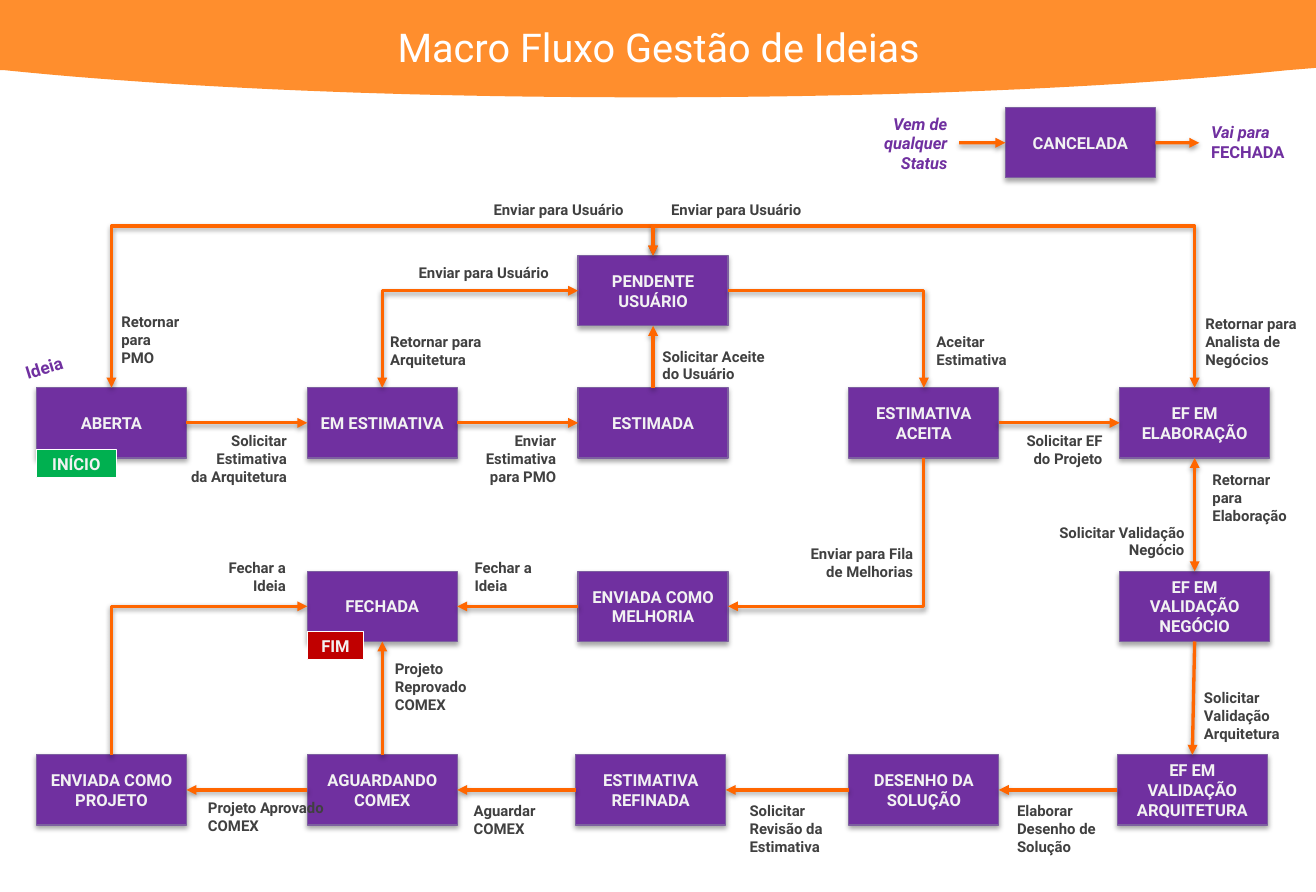
from lxml import etree
from pptx import Presentation
from pptx.dml.color import RGBColor
from pptx.enum import shapes, text
from pptx.oxml.ns import qn
from pptx.util import Cm, Pt

FONT = "Roboto"
PURPLE, ORANGE, BANNER = "7030A0", "FF6600", "FF8E2D"
GREY, PALE, WHITE = "404040", "F2F2F2", "FFFFFF"
LEFT, CENTER, RIGHT = text.PP_ALIGN.LEFT, text.PP_ALIGN.CENTER, text.PP_ALIGN.RIGHT
TOP_SIDE, LEFT_SIDE, BOTTOM_SIDE, RIGHT_SIDE = range(4)
SLIDE_W, SLIDE_H = 28.09, 19.05
STATUS_W, STATUS_H = 3.2, 1.5
COLUMN_PITCH, ROW_PITCH = 5.78, 3.92
PENDING_Y, FIRST_ROW_Y, RAIL_Y = 1.29, 4.11, 0.66

# status: (column, row, shift to the right)
STATUSES = {
    "ABERTA": (0, 0, 0), "EM ESTIMATIVA": (1, 0, 0), "ESTIMADA": (2, 0, 0),
    "ESTIMATIVA ACEITA": (3, 0, 0), "EF EM ELABORAÇÃO": (4, 0, 0),
    "FECHADA": (1, 1, 0), "ENVIADA COMO MELHORIA": (2, 1, 0),
    "EF EM VALIDAÇÃO NEGÓCIO": (4, 1, 0),
    "ENVIADA COMO PROJETO": (0, 2, 0), "AGUARDANDO COMEX": (1, 2, 0),
    "ESTIMATIVA REFINADA": (2, 2, -0.05), "DESENHO DA SOLUÇÃO": (3, 2, 0),
    "EF EM VALIDAÇÃO ARQUITETURA": (4, 2, -0.05),
}
# from, side, to, side, arrowheads
STRAIGHT = [
    ("ABERTA", RIGHT_SIDE, "EM ESTIMATIVA", LEFT_SIDE, "end"),
    ("EM ESTIMATIVA", RIGHT_SIDE, "ESTIMADA", LEFT_SIDE, "end"),
    ("ESTIMADA", TOP_SIDE, "PENDENTE USUÁRIO", BOTTOM_SIDE, "end"),
    ("ESTIMATIVA ACEITA", RIGHT_SIDE, "EF EM ELABORAÇÃO", LEFT_SIDE, "end"),
    ("EF EM VALIDAÇÃO NEGÓCIO", TOP_SIDE, "EF EM ELABORAÇÃO", BOTTOM_SIDE, "both"),
    ("EF EM VALIDAÇÃO NEGÓCIO", BOTTOM_SIDE, "EF EM VALIDAÇÃO ARQUITETURA", TOP_SIDE, "end"),
    ("EF EM VALIDAÇÃO ARQUITETURA", LEFT_SIDE, "DESENHO DA SOLUÇÃO", RIGHT_SIDE, "end"),
    ("DESENHO DA SOLUÇÃO", LEFT_SIDE, "ESTIMATIVA REFINADA", RIGHT_SIDE, "end"),
    ("ESTIMATIVA REFINADA", LEFT_SIDE, "AGUARDANDO COMEX", RIGHT_SIDE, "end"),
    ("AGUARDANDO COMEX", LEFT_SIDE, "ENVIADA COMO PROJETO", RIGHT_SIDE, "end"),
    ("AGUARDANDO COMEX", TOP_SIDE, "FECHADA", BOTTOM_SIDE, "end"),
    ("ENVIADA COMO MELHORIA", LEFT_SIDE, "FECHADA", RIGHT_SIDE, "end"),
]
CORNERS = [
    ("PENDENTE USUÁRIO", LEFT_SIDE, "EM ESTIMATIVA", TOP_SIDE, "both"),
    ("PENDENTE USUÁRIO", RIGHT_SIDE, "ESTIMATIVA ACEITA", TOP_SIDE, "end"),
    ("ENVIADA COMO MELHORIA", RIGHT_SIDE, "ESTIMATIVA ACEITA", BOTTOM_SIDE, "begin"),
    ("FECHADA", LEFT_SIDE, "ENVIADA COMO PROJETO", TOP_SIDE, "begin"),
]
# left, top, width, alignment, wording
TRANSITIONS = [
    (1.56, 2.38, 1.91, LEFT, "Retornar\npara PMO"),
    (24.7, 2.43, 2.6, LEFT, "Retornar para\nAnalista de\nNegócios"),
    (24.67, 10.41, 2.41, LEFT, "Solicitar Validação Arquitetura"),
    (3.41, 12.77, 3.1, LEFT, "Projeto Aprovado COMEX"),
    (7.4, 9.8, 2.59, LEFT, "Projeto\nReprovado\nCOMEX"),
    (9.1, 7.64, 3.61, LEFT, "Fechar a\nIdeia"),
    (7.3, 2.82, 2.67, LEFT, "Retornar para\nArquitetura"),
    (13.11, 3.12, 3.07, LEFT, "Solicitar Aceite\ndo Usuário"),
    (18.96, 2.82, 2.16, LEFT, "Aceitar Estimativa"),
    (24.85, 5.76, 2.24, LEFT, "Retornar\npara\nElaboração"),
    (9.08, 12.82, 2.59, LEFT, "Aguardar\nCOMEX"),
    (20.68, 12.82, 2.41, LEFT, "Elaborar\nDesenho de Solução"),
    (14.97, 12.82, 2.41, LEFT, "Solicitar\nRevisão da Estimativa"),
    (2.85, 4.92, 2.74, RIGHT, "Solicitar\nEstimativa\nda Arquitetura"),
    (8.92, 4.92, 2.42, RIGHT, "Enviar\nEstimativa\npara PMO"),
    (20.61, 4.92, 2.39, RIGHT, "Solicitar EF do Projeto"),
    (21.27, 6.88, 3.48, RIGHT, "Solicitar Validação\nNegócio"),
    (16.24, 7.34, 2.72, RIGHT, "Enviar para Fila de Melhorias"),
    (1.96, 7.64, 3.61, RIGHT, "Fechar a\nIdeia"),
    (8.51, 0, 4.27, RIGHT, "Enviar para Usuário"),
    (12.3, 0, 4.27, RIGHT, "Enviar para Usuário"),
    (6.91, 1.34, 4.27, RIGHT, "Enviar para Usuário"),
]


def rgb(value):
    return RGBColor.from_string(value)


def write(frame, wording, size, color, align, bold=True):
    frame.word_wrap = True
    frame.text = wording
    for line in frame.paragraphs:
        line.alignment = align
        line.font.name, line.font.size, line.font.bold = FONT, Pt(size), bold
        line.font.color.rgb = rgb(color)


def label(slide, x, y, w, h, wording, size, color, align=LEFT, bold=True):
    box = slide.shapes.add_textbox(Cm(x), Cm(y), Cm(w), Cm(h))
    write(box.text_frame, wording, size, color, align, bold)
    return box


def cast_shadow(shape, distance, alpha):
    properties = shape._element.spPr
    effects = properties.find(qn("a:effectLst"))
    if effects is None:
        effects = etree.SubElement(properties, qn("a:effectLst"))
    shadow = etree.SubElement(effects, qn("a:outerShdw"), blurRad="40000",
                              dist=str(distance), dir="5400000", rotWithShape="0")
    black = etree.SubElement(shadow, qn("a:srgbClr"), val="000000")
    etree.SubElement(black, qn("a:alpha"), val=str(alpha))


def process(slide, x, y, w, h, wording, fill, outline):
    shape = slide.shapes.add_shape(shapes.MSO_SHAPE.FLOWCHART_PROCESS,
                                   Cm(x), Cm(y), Cm(w), Cm(h))
    shape.shadow.inherit = False
    shape.fill.solid()
    shape.fill.fore_color.rgb = rgb(fill)
    shape.line.color.rgb = rgb(outline)
    shape.line.width = Pt(0.75)
    shape.text_frame.vertical_anchor = text.MSO_ANCHOR.MIDDLE
    write(shape.text_frame, wording, 10, PALE, CENTER)
    return shape


def status(slide, x, y, wording):
    shape = process(slide, x, y, STATUS_W, STATUS_H, wording, PURPLE, "7D60A0")
    cast_shadow(shape, 23000, 35000)
    return shape


def arrow(slide, kind, begin=(0, 0), end=(0, 0), heads="end"):
    link = slide.shapes.add_connector(kind, *(Cm(v) for v in (*begin, *end)))
    link.line.color.rgb = rgb(ORANGE)
    link.line.width = Pt(2)
    for tag, place in (("a:headEnd", "begin"), ("a:tailEnd", "end")):
        if heads in (place, "both"):
            etree.SubElement(link.line._get_or_add_ln(), qn(tag), type="triangle")
    cast_shadow(link, 20000, 38000)
    return link


def join(slide, kind, source, source_side, target, target_side, heads):
    link = arrow(slide, kind, heads=heads)
    link.begin_connect(source, source_side)
    link.end_connect(target, target_side)
    return link


def reshape(link, preset, **guides):
    geometry = link._element.spPr.find(qn("a:prstGeom"))
    geometry.set("prst", preset)
    adjustments = geometry.find(qn("a:avLst"))
    if adjustments is None:
        adjustments = etree.SubElement(geometry, qn("a:avLst"))
    for name, value in guides.items():
        etree.SubElement(adjustments, qn("a:gd"), name=name, fmla=f"val {value}")


def rail(slide, source, target):
    """Arrow leaving one top side, running along the rail above, down to another top side."""
    link = join(slide, shapes.MSO_CONNECTOR.ELBOW, source, TOP_SIDE, target, TOP_SIDE, "both")
    from_left = source.left < target.left
    x, y, w, h = link.left, link.top, link.width, link.height
    link.left, link.top = x + (w - h) // 2, y + (h - w) // 2
    link.width, link.height = h, w
    frame = link._element.spPr.xfrm
    frame.set("rot", "5400000" if from_left else "16200000")
    frame.set("flipH", "1" if from_left else "0")
    frame.set("flipV", "1")
    reach = (FIRST_ROW_Y - RAIL_Y) / (FIRST_ROW_Y - PENDING_Y)
    reshape(link, "bentConnector3", adj1=round(reach * 100000))


def bezier(points, steps=24):
    a, b, c, d = points
    for t in (i / steps for i in range(steps + 1)):
        s = 1 - t
        yield tuple(s**3 * p + 3 * s * s * t * q + 3 * s * t * t * r + t**3 * v
                    for p, q, r, v in zip(a, b, c, d))


def banner(slide, left, top, width):
    curve = [(27.48, 1.5), (23.77, 1.88), (19, 2.08), (13.79, 2.08),
             (8.59, 2.08), (3.81, 1.88), (0.1, 1.5)]
    outline = [(width, 0), (width, 1.45), *bezier(curve[:4]), *bezier(curve[3:]), (0, 1.5)]
    builder = slide.shapes.build_freeform(Cm(left), Cm(top))
    builder.add_line_segments([(Cm(left + x), Cm(top + y)) for x, y in outline])
    arc = builder.convert_to_shape()
    arc.shadow.inherit = False
    arc.fill.solid()
    arc.fill.fore_color.rgb = rgb(BANNER)
    arc.line.fill.background()
    label(slide, left + 6.48, top + 0.36, 15.16, 1.27, "Macro Fluxo Gestão de Ideias",
          24, WHITE, CENTER, bold=False)


def cancellation(slide, left, top):
    straight = shapes.MSO_CONNECTOR.STRAIGHT
    cancelled = status(slide, left + 3.1, top, "CANCELADA")
    middle = top + STATUS_H / 2
    arrow(slide, straight, (left + 2.11, middle), (left + 3.1, middle)).end_connect(
        cancelled, LEFT_SIDE)
    arrow(slide, straight, (left + 6.3, middle), (left + 7.24, middle)).begin_connect(
        cancelled, RIGHT_SIDE)
    origin = label(slide, left, top, 2.11, 1.55, "Vem de\nqualquer\nStatus", 10, PURPLE, RIGHT)
    closing = label(slide, left + 7.24, top + 0.19, 2.16, 1.12, "Vai para\nFECHADA", 10, PURPLE)
    for line in (*origin.text_frame.paragraphs, closing.text_frame.paragraphs[0]):
        line.font.italic = True


def flow(slide, left, top):
    placed = {name: status(slide, left + column * COLUMN_PITCH + shift,
                           top + FIRST_ROW_Y + row * ROW_PITCH, name)
              for name, (column, row, shift) in STATUSES.items()}
    pending = "PENDENTE USUÁRIO"
    placed[pending] = status(slide, left + 2 * COLUMN_PITCH, top + PENDING_Y, pending)
    for source, side, target, target_side, heads in STRAIGHT:
        join(slide, shapes.MSO_CONNECTOR.STRAIGHT, placed[source], side,
             placed[target], target_side, heads)
    for source, side, target, target_side, heads in CORNERS:
        reshape(join(slide, shapes.MSO_CONNECTOR.ELBOW, placed[source], side,
                     placed[target], target_side, heads), "bentConnector2")
    for source in ("ABERTA", "EF EM ELABORAÇÃO"):
        rail(slide, placed[source], placed[pending])
    for x, y, w, align, wording in TRANSITIONS:
        label(slide, left + x, top + y, w, 1.02, wording, 9, GREY, align)
    label(slide, left - 0.5, top + 3.25, 1.88, 0.74, "Ideia", 10.5, PURPLE).rotation = -17.2
    process(slide, left, top + 5.43, 1.7, 0.6, "INÍCIO", "00B050", WHITE)
    process(slide, left + COLUMN_PITCH, top + 9.32, 1.2, 0.6, "FIM", "C00000", WHITE)


def main():
    deck = Presentation()
    deck.slide_width, deck.slide_height = Cm(SLIDE_W), Cm(SLIDE_H)
    slide = deck.slides.add_slide(deck.slide_layouts[6])
    banner(slide, 0, 0, SLIDE_W)
    cancellation(slide, 18.36, 2.3)
    flow(slide, 0.78, 4.17)
    deck.save("out.pptx")


if __name__ == "__main__":
    main()
